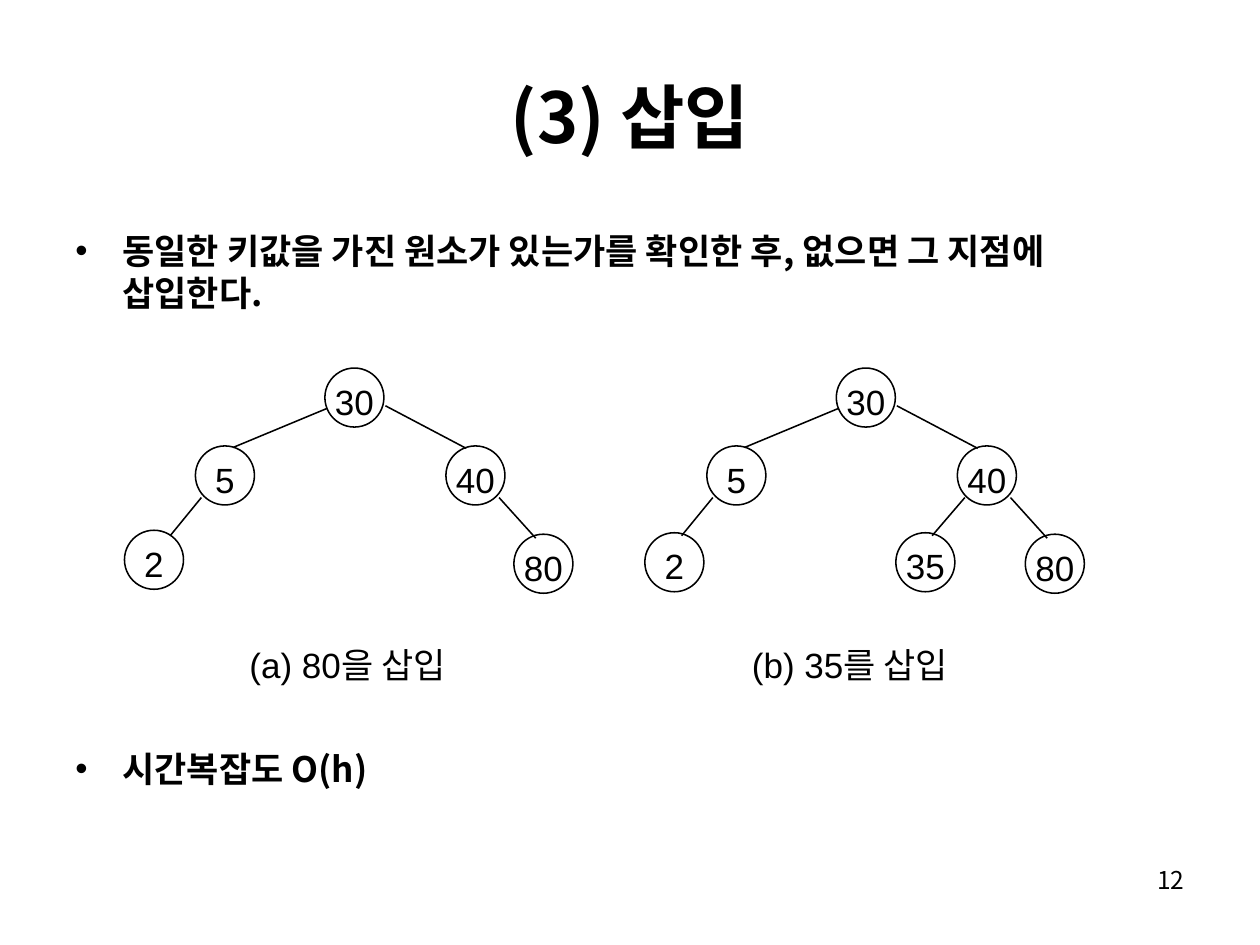
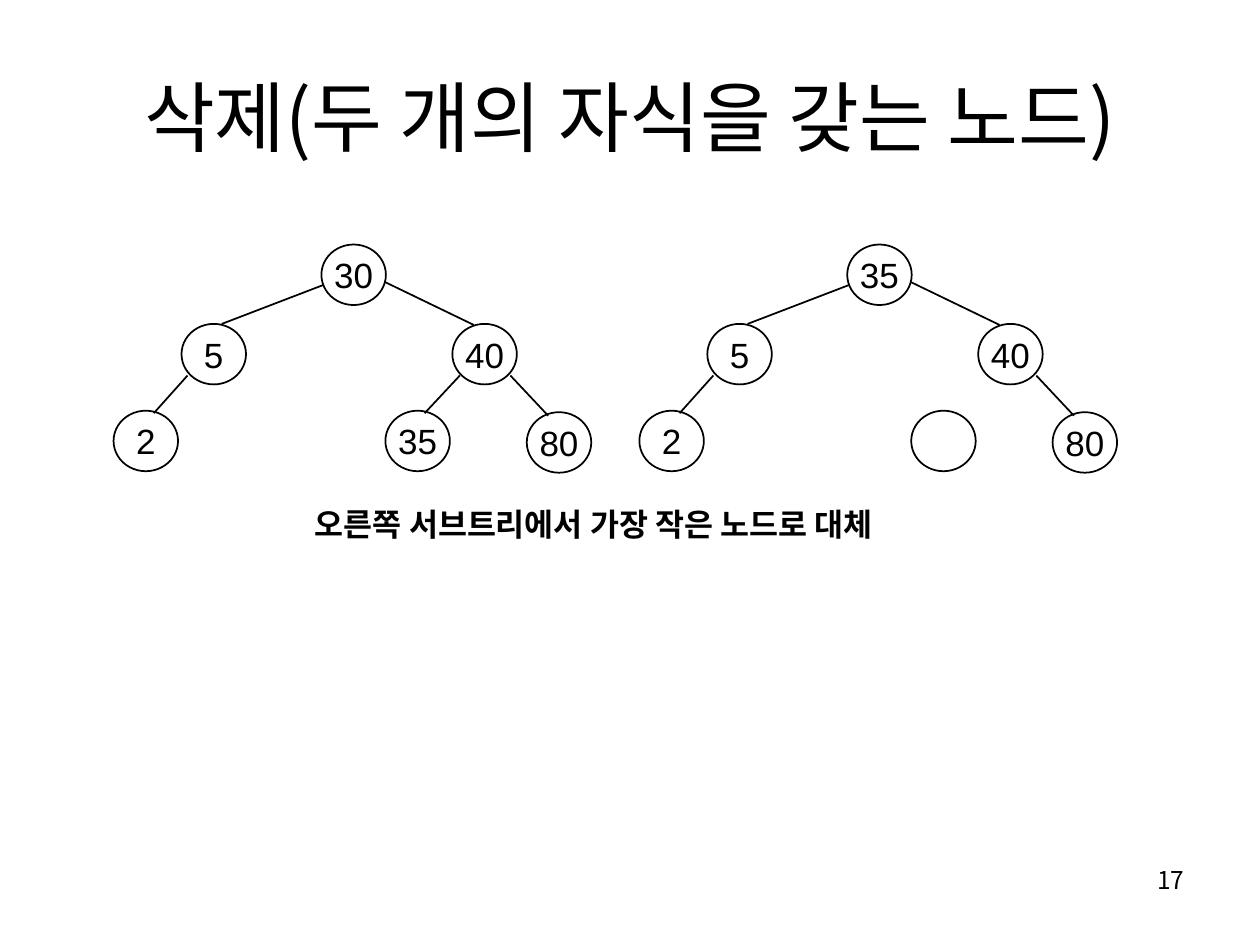
import pptx
import pptx.util
import pptx.dml.color
import pptx.enum.shapes
import pptx.enum.text
import pptx.oxml
import pptx.oxml.ns
import lxml.etree

Cm, Pt = pptx.util.Cm, pptx.util.Pt
ALIGN = pptx.enum.text.PP_ALIGN
ANCHOR = pptx.enum.text.MSO_ANCHOR
COLORS = {"ink": "000000", "paper": "FFFFFF"}
HANGUL, LATIN = "Noto Sans CJK KR", "Arial"
INK = pptx.dml.color.RGBColor.from_string(COLORS["ink"])
PAPER = pptx.dml.color.RGBColor.from_string(COLORS["paper"])


def add_run(paragraph, text, size, face=HANGUL, bold=False):
    run = paragraph.add_run()
    run.text = text
    run.font.size, run.font.name, run.font.bold = Pt(size), face, bold
    run.font.color.rgb = INK
    east_asian = lxml.etree.SubElement(run._r.get_or_add_rPr(), pptx.oxml.ns.qn("a:ea"))
    east_asian.set("typeface", HANGUL)


def add_text_box(slide, left, top, width, height, inset=(0.25, 0.13)):
    frame = slide.shapes.add_textbox(Cm(left), Cm(top), Cm(width), Cm(height)).text_frame
    frame.word_wrap = True
    frame.margin_left = frame.margin_right = Cm(inset[0])
    frame.margin_top = frame.margin_bottom = Cm(inset[1])
    return frame


# Tree geometry in cm: node corners, and the edge leading to each child
insertion = {
    "title": "(3) 삽입", "title_size": 40, "title_bold": True, "page": "12",
    "node_size": (1.19, 1.19), "line": 0.88, "filled": True, "text_drop": 0.15,
    "tree_step": 10.31,
    "places": {"root": (6.55, 7.42), "left": (3.94, 8.99), "right": (8.99, 8.99),
               "left leaf": (2.6, 10.72), "inner leaf": (7.75, 10.74),
               "outer leaf": (10.36, 10.77)},
    "edges": {"left": (6.6, 8.23, 4.7, 9.02), "right": (7.77, 8.18, 9.4, 9.04),
              "left leaf": (4.06, 10.03, 3.43, 10.8),
              "inner leaf": (9.14, 10.03, 8.48, 10.8),
              "outer leaf": (10.06, 10.03, 10.8, 10.85)},
    "trees": [
        {"root": "30", "left": "5", "right": "40", "left leaf": "2", "outer leaf": "80"},
        {"root": "30", "left": "5", "right": "40", "left leaf": "2",
         "inner leaf": "35", "outer leaf": "80"}],
    "moved": [{"left leaf": (2.51, 10.69)}, {"left leaf": (2.69, 10.74)}],
}
deletion = {
    "title": "삭제(두 개의 자식을 갖는 노드)", "title_size": 44, "title_bold": False, "page": "17",
    "node_size": (1.3, 1.22), "line": 1, "filled": False, "text_drop": 0,
    "tree_step": 10.6,
    "places": {"root": (6.48, 4.93), "left": (3.66, 6.53), "right": (9.12, 6.53),
               "left leaf": (2.29, 8.28), "inner leaf": (7.77, 8.28),
               "outer leaf": (10.62, 8.31)},
    "edges": {"left": (6.53, 5.74, 4.47, 6.53), "right": (7.77, 5.69, 9.55, 6.55),
              "left leaf": (3.78, 7.57, 3.1, 8.33),
              "inner leaf": (9.27, 7.57, 8.56, 8.33),
              "outer leaf": (10.29, 7.57, 11.05, 8.38)},
    "trees": [
        {"root": "30", "left": "5", "right": "40", "left leaf": "2",
         "inner leaf": "35", "outer leaf": "80"},
        {"root": "35", "left": "5", "right": "40", "left leaf": "2",
         "inner leaf": "", "outer leaf": "80"}],
    "moved": [{}, {}],
}

deck = pptx.Presentation()
deck.slide_width, deck.slide_height = Cm(25.4), Cm(19.05)
slides = []

for topic in (insertion, deletion):
    slide = deck.slides.add_slide(deck.slide_layouts[5])
    slides.append(slide)

    # Title
    title = slide.shapes.title
    title.left, title.top, title.width, title.height = Cm(1.27), Cm(0.74), Cm(22.86), Cm(3.18)
    title.text_frame.auto_size = pptx.enum.text.MSO_AUTO_SIZE.NONE
    title.text_frame.vertical_anchor = ANCHOR.MIDDLE
    heading = title.text_frame.paragraphs[0]
    heading.alignment = ALIGN.CENTER
    add_run(heading, topic["title"], topic["title_size"], bold=topic["title_bold"])

    # Page number
    page = add_text_box(slide, 18.21, 17.3, 5.92, 1.32).paragraphs[0]
    page.alignment = ALIGN.RIGHT
    add_run(page, topic["page"], 14)

    # Two trees side by side
    for index, keys in enumerate(topic["trees"]):
        shift = index * topic["tree_step"]
        places = topic["places"] | topic["moved"][index]
        width, height = topic["node_size"]
        for place, key in keys.items():
            x, y = places[place]
            node = slide.shapes.add_shape(
                pptx.enum.shapes.MSO_SHAPE.OVAL,
                Cm(x + shift), Cm(y), Cm(width), Cm(height))
            node.shadow.inherit = False
            if topic["filled"]:
                node.fill.solid()
                node.fill.fore_color.rgb = PAPER
            else:
                node.fill.background()
            node.line.color.rgb = INK
            node.line.width = Pt(topic["line"])
            if key:
                label = node.text_frame
                label.word_wrap = False
                label.vertical_anchor = ANCHOR.MIDDLE
                label.margin_left = label.margin_right = label.margin_bottom = 0
                label.margin_top = Cm(topic["text_drop"])
                label.paragraphs[0].alignment = ALIGN.CENTER
                add_run(label.paragraphs[0], key, 20, LATIN)

        for child, (x1, y1, x2, y2) in topic["edges"].items():
            if not keys.get(child):
                continue
            edge = slide.shapes.add_connector(
                pptx.enum.shapes.MSO_CONNECTOR.STRAIGHT,
                Cm(x1 + shift), Cm(y1), Cm(x2 + shift), Cm(y2))
            edge.line.color.rgb = INK
            edge.line.width = Pt(topic["line"])
            lxml.etree.SubElement(edge._element.spPr, pptx.oxml.ns.qn("a:effectLst"))

insertion_slide, deletion_slide = slides

# Insertion: bullets above and below the trees
bullets = add_text_box(insertion_slide, 1.27, 4.5, 22.63, 12.5)
statements = [("동일한 키값을 가진 원소가 있는가를 확인한 후, 없으면 그 지점에 삽입한다.", 0),
              ("시간복잡도 O(h)", 248)]
for index, (statement, space_before) in enumerate(statements):
    paragraph = bullets.add_paragraph() if index else bullets.paragraphs[0]
    properties = paragraph._p.get_or_add_pPr()
    properties.set("marL", str(Cm(0.95)))
    properties.set("indent", str(-Cm(0.95)))
    bullet_font = lxml.etree.SubElement(properties, pptx.oxml.ns.qn("a:buFont"))
    bullet_font.set("typeface", LATIN)
    lxml.etree.SubElement(properties, pptx.oxml.ns.qn("a:buChar")).set("char", "•")
    paragraph.line_spacing = Pt(24)
    if space_before:
        paragraph.space_before = Pt(space_before)
    add_run(paragraph, statement, 20, bold=True)

# Insertion: captions under the trees
for left, step, action in ((5.03, "(a) 80", "을 삽입"), (15.16, "(b) 35", "를 삽입")):
    caption = add_text_box(insertion_slide, left, 12.98, 5, 1.05, inset=(0, 0)).paragraphs[0]
    add_run(caption, step, 20, LATIN)
    add_run(caption, action, 20)

# Deletion: caption under both trees
replacement = add_text_box(deletion_slide, 6.1, 10.05, 13, 1.02).paragraphs[0]
add_run(replacement, "오른쪽 서브트리에서 가장 작은 노드로 대체", 18, bold=True)

deck.save("out.pptx")
